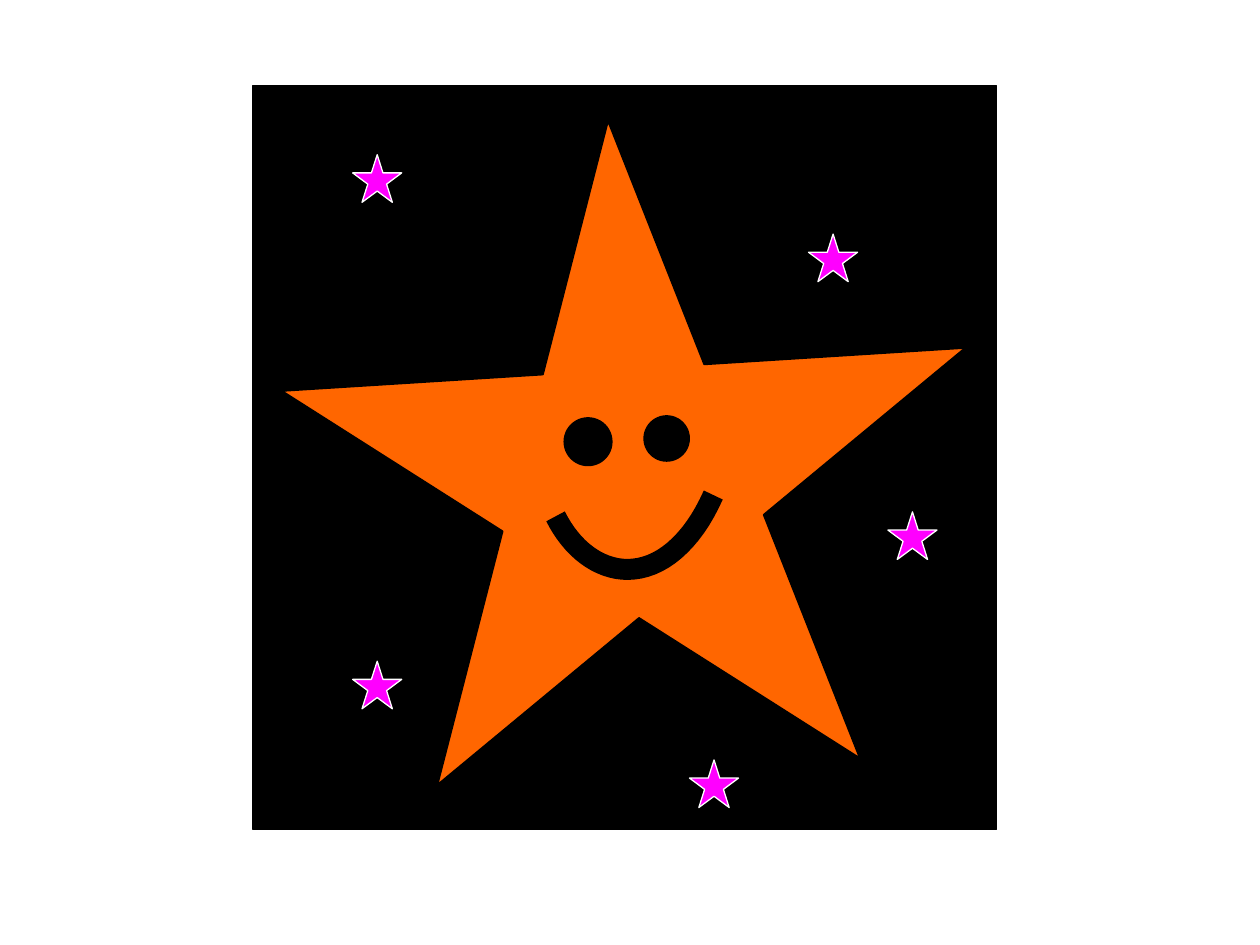
from pptx import Presentation
from pptx.dml.color import RGBColor
from pptx.enum.shapes import MSO_SHAPE as Shape
from pptx.util import Cm, Pt

BLACK = RGBColor(0x00, 0x00, 0x00)
ORANGE = RGBColor(0xFF, 0x66, 0x00)
MAGENTA = RGBColor(0xFF, 0x00, 0xFF)
WHITE = RGBColor(0xFF, 0xFF, 0xFF)

# Content, in centimetres: left, top, width, height
SKY = (5.1, 1.73, 14.99, 14.99)
BIG_STAR = (5.13, 2.95, 13.82, 13.13)
BIG_STAR_ROTATION = 284.4
EYES = [(11.36, 8.41, 0.99), (12.97, 8.37, 0.94)]  # left, top, diameter
SMALL_STARS = [(16.3, 4.72), (7.11, 3.12), (7.11, 13.33), (13.9, 15.32), (17.9, 10.32)]
SMALL_STAR_SIZE = (0.99, 0.96)
# Smile: two Bezier curves, each with a start, two controls and an end
SMILE = [
    ((14.38, 9.98), (13.95, 10.95), (13.31, 11.48), (12.65, 11.48)),
    ((12.65, 11.48), (12.07, 11.48), (11.53, 11.07), (11.2, 10.41)),
]
CURVE_STEPS = 16


def add_figure(slide, kind, box, fill, line=None, width=0.75):
    shape = slide.shapes.add_shape(kind, *map(Cm, box))
    shape.shadow.inherit = False
    shape.fill.solid()
    shape.fill.fore_color.rgb = fill
    if line is None:
        shape.line.fill.background()
    else:
        shape.line.color.rgb = line
        shape.line.width = Pt(width)
    return shape


def curve_point(curve, t):
    weights = ((1 - t) ** 3, 3 * t * (1 - t) ** 2, 3 * t ** 2 * (1 - t), t ** 3)
    return tuple(Cm(sum(w * point[axis] for w, point in zip(weights, curve)))
                 for axis in (0, 1))


def add_smile(slide):
    points = [curve_point(curve, step / CURVE_STEPS)
              for curve in SMILE for step in range(1, CURVE_STEPS + 1)]
    builder = slide.shapes.build_freeform(*curve_point(SMILE[0], 0))
    builder.add_line_segments(points, close=False)
    smile = builder.convert_to_shape()
    smile.shadow.inherit = False
    smile.fill.background()
    smile.line.color.rgb = BLACK
    smile.line.width = Pt(12)


def main():
    presentation = Presentation()
    presentation.slide_width, presentation.slide_height = Cm(25.4), Cm(19.05)
    slide = presentation.slides.add_slide(presentation.slide_layouts[6])

    # Night sky and the large star
    add_figure(slide, Shape.RECTANGLE, SKY, BLACK, BLACK)
    big_star = add_figure(slide, Shape.STAR_5_POINT, BIG_STAR, ORANGE, BLACK, 1)
    big_star.rotation = BIG_STAR_ROTATION

    # Face
    add_smile(slide)
    for left, top, diameter in EYES:
        add_figure(slide, Shape.OVAL, (left, top, diameter, diameter), BLACK)

    # Small stars
    for position in SMALL_STARS:
        add_figure(slide, Shape.STAR_5_POINT, position + SMALL_STAR_SIZE, MAGENTA, WHITE)

    presentation.save("out.pptx")


if __name__ == "__main__":
    main()
